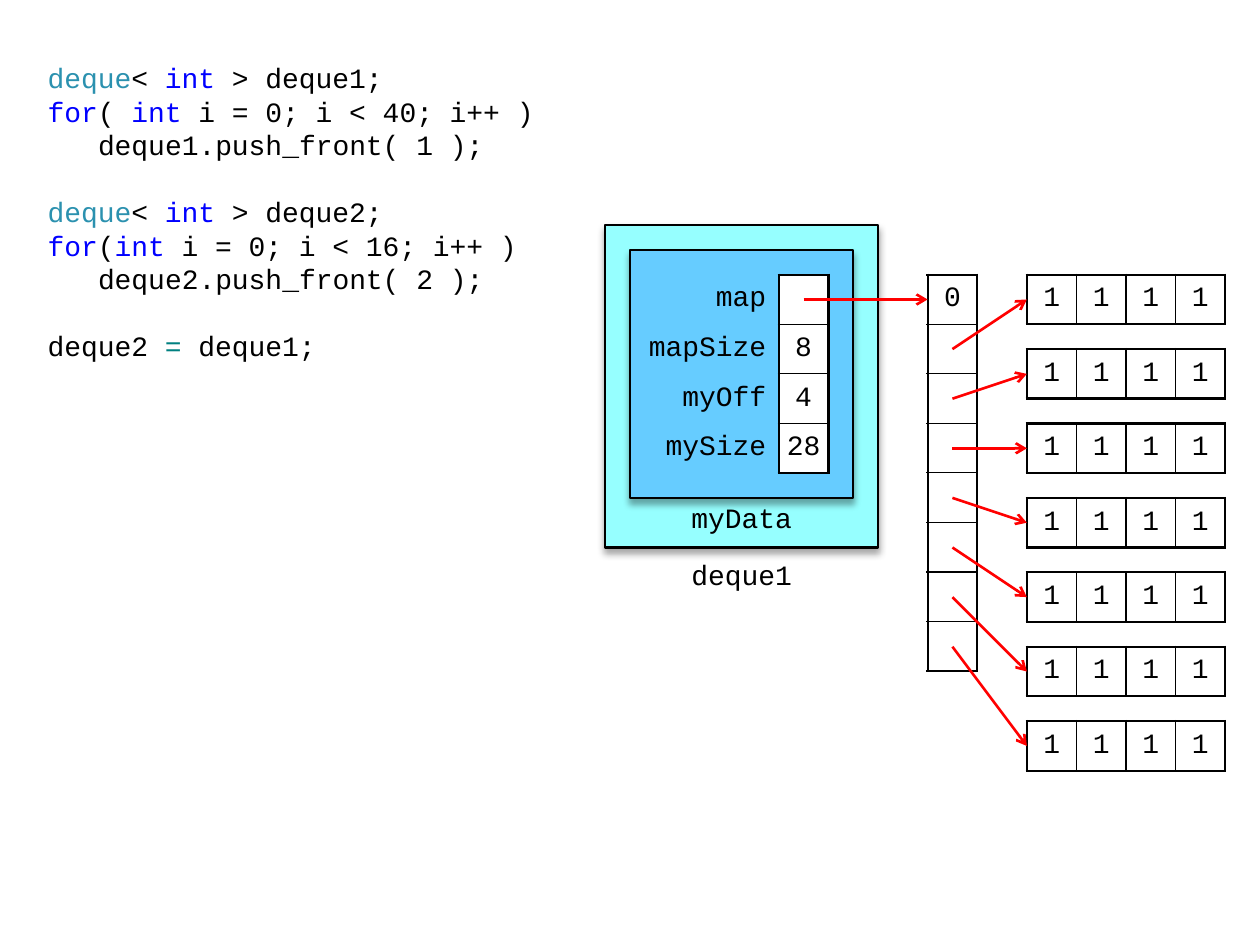
from lxml import etree
from pptx import Presentation
from pptx import util as u
from pptx.dml.color import RGBColor
from pptx.enum import shapes, text
from pptx.oxml import ns

COLORS = {"black": "000000", "white": "FFFFFF", "outer": "96FFFF", "inner": "66CCFF",
          "arrow": "FF0000", "type": "2B91AF", "keyword": "0000FF", "operator": "008080"}
CELL = 1 / 2.54              # grid unit: one table cell, in inches
LEFT, TOP = 5, 2.18          # grid origin: corner of the member table
MAP_COL, BLOCK_COL = 6, 8    # grid columns of the map and of its blocks
MAP_SIZE, BLOCK_SIZE, BLOCK_STEP = 8, 4, 1.5
OUTER, INNER = 1.5, 0.75     # border widths in points

MEMBERS = [("map", ""), ("mapSize", "8"), ("myOff", "4"), ("mySize", "28")]

# Each code line: indented, first of a new group, coloured runs
CODE = [
    (False, False, [("deque", "type"), ("< ", "black"), ("int", "keyword"), (" > deque1;", "black")]),
    (False, False, [("for", "keyword"), ("( ", "black"), ("int", "keyword"),
                    (" i = 0; i < 40; i++ )", "black")]),
    (True, False, [("deque1.push_front( 1 );", "black")]),
    (False, True, [("deque", "type"), ("< ", "black"), ("int", "keyword"), (" > deque2;", "black")]),
    (False, False, [("for", "keyword"), ("(", "black"), ("int", "keyword"),
                    (" i = 0; i < 16; i++ )", "black")]),
    (True, False, [("deque2.push_front( 2 );", "black")]),
    (False, True, [("deque2 ", "black"), ("= ", "operator"), ("deque1;", "black")]),
]


def rgb(name):
    return RGBColor.from_string(COLORS[name])


def sub(parent, tag, **attrs):
    return etree.SubElement(parent, ns.qn(tag), {k: str(v) for k, v in attrs.items()})


def apply(target, values):
    for name, value in values.items():
        setattr(target, name, value)


def grid(col, row):
    return u.Inches(LEFT + col * CELL), u.Inches(TOP + row * CELL)


def extent(cols, rows):
    return u.Inches(cols * CELL), u.Inches(rows * CELL)


class Deck:
    """Holds the text style and the current slide."""

    font = {"name": "Courier New", "size": u.Pt(16)}
    line_pitch = u.Pt(19.15)
    code_indent = u.Inches(0.4)
    cell_format = {"margin_left": u.Inches(0.04), "margin_right": u.Inches(0.04),
                   "margin_top": u.Inches(0.04), "margin_bottom": u.Inches(0.04),
                   "vertical_anchor": text.MSO_ANCHOR.MIDDLE}

    def __init__(self, prs):
        self.s = prs.slides.add_slide(prs.slide_layouts[6])

    def run(self, p, words, color="black"):
        r = p.add_run()
        r.text = words
        apply(r.font, self.font)
        r.font.color.rgb = rgb(color)

    def box(self, col, row, cols, rows, fill):
        sp = self.s.shapes.add_shape(shapes.MSO_SHAPE.FLOWCHART_PROCESS,
                                     *grid(col, row), *extent(cols, rows))
        sp.fill.solid()
        sp.fill.fore_color.rgb = rgb(fill)
        sp.line.color.rgb = rgb("black")
        sp.line.width = u.Pt(OUTER)
        effects = sub(sp._element.spPr, "a:effectLst")
        shadow = sub(effects, "a:outerShdw", blurRad=u.Pt(4), dist=u.Pt(3),
                     dir=90 * 60000, rotWithShape=0)
        sub(sub(shadow, "a:srgbClr", val=COLORS["black"]), "a:alpha", val=35000)

    def label(self, col, row, cols, words, **frame):
        tf = self.s.shapes.add_textbox(*grid(col, row), *extent(cols, 1)).text_frame
        apply(tf, {"word_wrap": True, "margin_left": u.Inches(0.08),
                   "margin_right": u.Inches(0.08), "margin_bottom": 0, **frame})
        p = tf.paragraphs[0]
        p.alignment = text.PP_ALIGN.CENTER
        self.run(p, words)

    def code(self, x, y, cols, rows, lines):
        tf = self.s.shapes.add_textbox(u.Inches(x), u.Inches(y), *extent(cols, rows)).text_frame
        apply(tf, {"word_wrap": True, "vertical_anchor": text.MSO_ANCHOR.MIDDLE})
        for i, (indented, new_group, runs) in enumerate(lines):
            p = tf.add_paragraph() if i else tf.paragraphs[0]
            p.line_spacing = self.line_pitch
            if new_group:
                p.space_before = self.line_pitch
            if indented:
                p._p.get_or_add_pPr().set("marL", str(self.code_indent))
            for words, color in runs:
                self.run(p, words, color)

    def borders(self, cell, widths):
        """Set left, right, top and bottom border widths; zero hides a border."""
        tc_pr = cell._tc.get_or_add_tcPr()
        for side, width in zip("LRTB", widths):
            ln = sub(tc_pr, f"a:ln{side}", w=u.Pt(width))
            if width:
                sub(sub(ln, "a:solidFill"), "a:srgbClr", val=COLORS["black"])
            else:
                sub(ln, "a:noFill")

    def table(self, col, row, data, label_cols=0):
        """Draw a framed grid; label_cols is the width of an unframed first column."""
        n_rows, n_cols = len(data), len(data[0])
        first = 1 if label_cols else 0
        total = n_cols - first + label_cols
        t = self.s.shapes.add_table(n_rows, n_cols, *grid(col, row), *extent(total, n_rows)).table
        apply(t, {"first_row": False, "horz_banding": False})
        for j, column in enumerate(t.columns):
            column.width = u.Inches(CELL * (label_cols if j < first else 1))
        for i, values in enumerate(data):
            t.rows[i].height = u.Inches(CELL)
            for j, words in enumerate(values):
                cell = t.cell(i, j)
                apply(cell, self.cell_format)
                p = cell.text_frame.paragraphs[0]
                if j < first:
                    apply(cell, {"margin_left": u.Inches(0.1), "margin_right": u.Inches(0.1)})
                    p.alignment = text.PP_ALIGN.RIGHT
                    self.borders(cell, (0, OUTER, 0, 0))
                    cell.fill.background()
                else:
                    p.alignment = text.PP_ALIGN.CENTER
                    edges = (j == first, j == n_cols - 1, i == 0, i == n_rows - 1)
                    self.borders(cell, [OUTER if edge else INNER for edge in edges])
                    cell.fill.solid()
                    cell.fill.fore_color.rgb = rgb("white")
                    if len(words) > 1:
                        apply(cell, {"margin_left": 0, "margin_right": 0})
                if words:
                    self.run(p, words)
                else:
                    p.font.size = self.font["size"]

    def arrow(self, start, end):
        c = self.s.shapes.add_connector(shapes.MSO_CONNECTOR.STRAIGHT, *grid(*start), *grid(*end))
        c.line.color.rgb = rgb("arrow")
        c.line.width = u.Pt(1.5)
        sub(c.line._get_or_add_ln(), "a:tailEnd", type="arrow")
        sub(c._element.spPr, "a:effectLst")


def main():
    prs = Presentation()
    prs.slide_width, prs.slide_height = u.Inches(10), u.Inches(7.5)
    deck = Deck(prs)

    deck.code(0.28, 0.4, 10.5, 6.5, CODE)
    deck.box(-0.5, -1, 5.5, 6.5, "outer")
    deck.box(0, -0.5, 4.5, 5, "inner")
    deck.label(0.5, 5.5, 3.5, "deque1", margin_top=u.Inches(0.04),
               vertical_anchor=text.MSO_ANCHOR.MIDDLE)
    deck.label(1, 4.5, 2.5, "myData", margin_top=u.Inches(0.02))

    deck.table(0, 0, MEMBERS, label_cols=3)
    deck.table(MAP_COL, 0, [["0"]] + [[""]] * (MAP_SIZE - 1))
    deck.arrow((3.5, 0.5), (MAP_COL, 0.5))
    for i in range(MAP_SIZE - 1):
        row = i * BLOCK_STEP
        deck.table(BLOCK_COL, row, [["1"] * BLOCK_SIZE])
        deck.arrow((MAP_COL + 0.5, i + 1.5), (BLOCK_COL, row + 0.5))

    prs.save("out.pptx")


if __name__ == "__main__":
    main()
